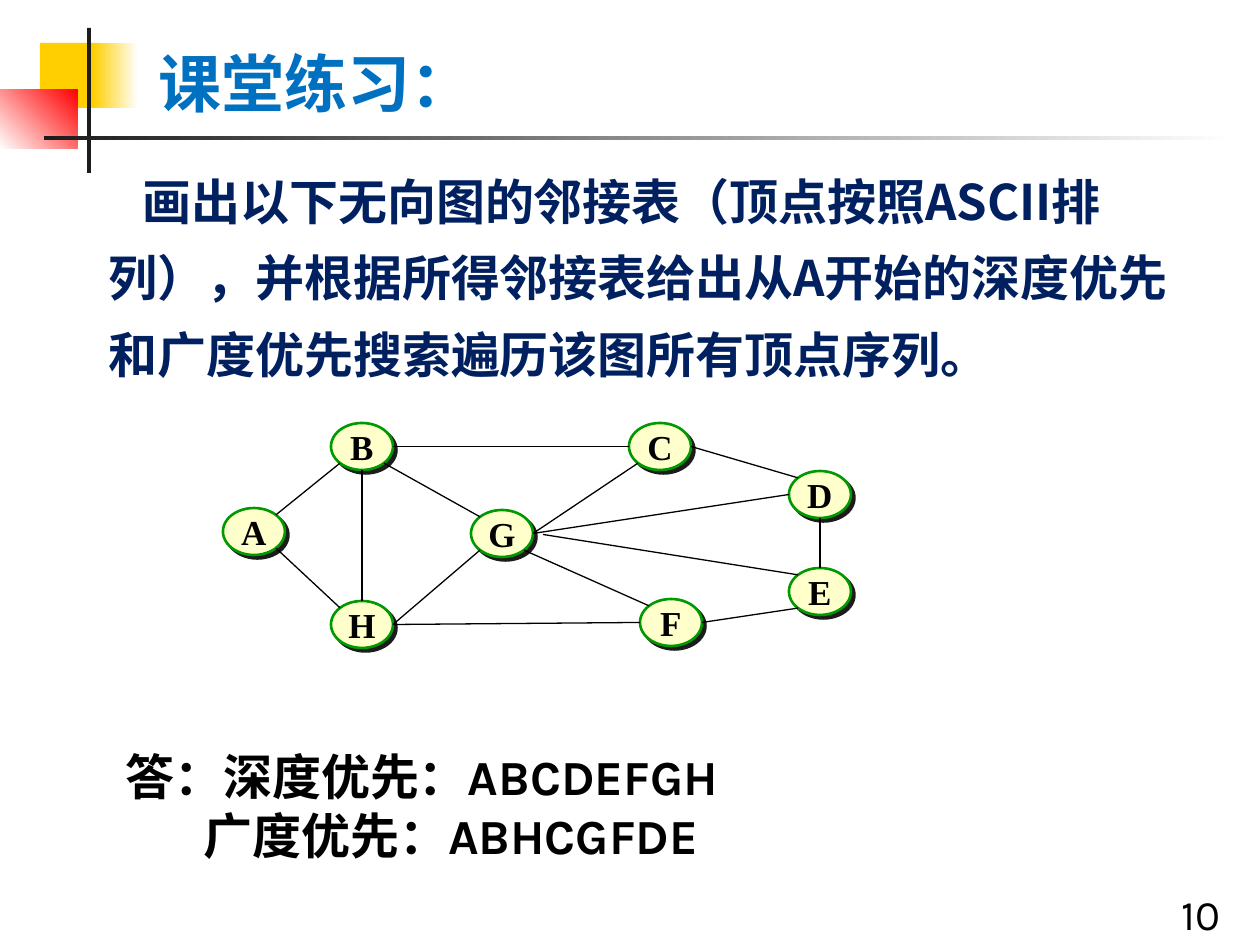
import math
from dataclasses import dataclass

import pptx
import pptx.dml.color
import pptx.enum.shapes
import pptx.enum.text
import pptx.oxml.ns
import pptx.util
from lxml import etree

EMU_PER_PX = 914400 / 126
ANCHOR = pptx.enum.text.MSO_ANCHOR
ALIGN = pptx.enum.text.PP_ALIGN
SHAPE = pptx.enum.shapes.MSO_SHAPE


@dataclass(frozen=True)
class Theme:
    black: str = "000000"
    white: str = "FFFFFF"
    ink: str = "1C1C1C"
    yellow: str = "FFCF01"
    red: str = "FF0000"
    title: str = "0070C0"
    question: str = "002060"
    vertex_fill: str = "FFFFCC"
    vertex_line: str = "009900"
    chinese: str = "Noto Sans CJK SC"
    latin: str = "Karla"
    serif: str = "Times New Roman"
    title_size: int = 36
    text_size: int = 28
    number_size: int = 24
    vertex_size: int = 20


THEME = Theme()

# Vertex ovals: left and top in px
VERTEX_WIDTH, VERTEX_HEIGHT = 62, 47
VERTICES = {
    "A": (223, 508), "B": (331, 423), "C": (629, 423), "D": (789, 471),
    "E": (789, 568), "F": (640, 599), "G": (471, 510), "H": (331, 601),
}

# Points on an oval, as clockwise degrees from its right end
SITES = {"right": 0, "lower right": 45, "bottom": 90, "lower left": 135,
         "left": 180, "upper left": 225, "top": 270, "upper right": 315}
EDGES = [
    ("B", "right", "C", "left"),
    ("A", "upper right", "B", "lower left"),
    ("A", "lower right", "H", "upper left"),
    ("B", "bottom", "H", "top"),
    ("B", "lower right", "G", "upper left"),
    ("H", "right", "G", "lower left"),
    ("H", "right", "F", "left"),
    ("G", "right", "C", "lower left"),
    ("G", "lower right", "F", "upper left"),
    ("G", "right", "D", "left"),
    ("G", "right", "E", "upper left"),
    ("D", "bottom", "E", "top"),
    ("F", "right", "E", "lower left"),
    ("C", "right", "D", "upper left"),
]
EDGE_GAPS = {("G", "E"): (10, 1)}  # this edge starts a little off its vertex


def px(length):
    return pptx.util.Emu(round(length * EMU_PER_PX))


def rgb(color):
    return pptx.dml.color.RGBColor.from_string(color)


def apply(target, formats):
    for name, value in formats.items():
        setattr(target, name, value)


def add_element(parent, tag, **attributes):
    return etree.SubElement(parent, pptx.oxml.ns.qn(tag), attributes)


def place(shape, left, top, width, height):
    apply(shape, {"left": px(left), "top": px(top),
                  "width": px(width), "height": px(height)})


def write(shape, lines, size, color, font, bold=True, frame=None, paragraph=None, indents=()):
    """Fill a shape with lines of text; indents are (left margin, first line) in px."""
    text_frame = shape.text_frame
    apply(text_frame, {"auto_size": pptx.enum.text.MSO_AUTO_SIZE.NONE,
                       "word_wrap": True, **(frame or {})})
    for index, line in enumerate(lines):
        item = text_frame.paragraphs[0] if index == 0 else text_frame.add_paragraph()
        margin, first_line = indents[index] if indents else (0, 0)
        properties = item._p.get_or_add_pPr()
        properties.set("marL", str(px(margin)))
        properties.set("indent", str(px(first_line)))
        add_element(properties, "a:buNone")
        apply(item, {"alignment": ALIGN.LEFT, "space_before": pptx.util.Pt(0),
                     **(paragraph or {})})
        run = item.add_run()
        run.text = line
        apply(run.font, {"size": pptx.util.Pt(size), "bold": bold, "name": font})
        run.font.color.rgb = rgb(color)
        add_element(run._r.get_or_add_rPr(), "a:ea", typeface=THEME.chinese)


def add_block(slide, box, colors, angle=0):
    """A plain rectangle, or a gradient one when two colours are given."""
    block = slide.shapes.add_shape(SHAPE.RECTANGLE, *map(px, box))
    block.shadow.inherit = False
    block.line.fill.background()
    if len(colors) == 1:
        block.fill.solid()
        block.fill.fore_color.rgb = rgb(colors[0])
    else:
        block.fill.gradient()
        block.fill.gradient_angle = angle
        for stop, color, position in zip(block.fill.gradient_stops, colors, (0, 1)):
            stop.color.rgb = rgb(color)
            stop.position = position


def add_vertex(slide, name, left, top):
    vertex = slide.shapes.add_shape(
        SHAPE.OVAL, px(left), px(top), px(VERTEX_WIDTH), px(VERTEX_HEIGHT))
    vertex.fill.solid()
    vertex.fill.fore_color.rgb = rgb(THEME.vertex_fill)
    vertex.line.color.rgb = rgb(THEME.vertex_line)
    vertex.line.width = pptx.util.Pt(1.5)
    # Hard shadow towards the lower right
    vertex.shadow.inherit = False
    effects = vertex._element.spPr.find(pptx.oxml.ns.qn("a:effectLst"))
    shadow = add_element(effects, "a:outerShdw", dist=str(pptx.util.Pt(2.8)),
                         dir="2700000", algn="ctr", rotWithShape="0")
    add_element(shadow, "a:srgbClr", val=THEME.ink)
    write(vertex, [name], THEME.vertex_size, THEME.black, THEME.serif,
          frame={"word_wrap": False, "vertical_anchor": ANCHOR.MIDDLE},
          paragraph={"alignment": ALIGN.CENTER})


def site_point(name, site):
    left, top = VERTICES[name]
    angle = math.radians(SITES[site])
    return (left + VERTEX_WIDTH / 2 * (1 + math.cos(angle)),
            top + VERTEX_HEIGHT / 2 * (1 + math.sin(angle)))


def add_edge(slide, start, start_site, end, end_site):
    gap_x, gap_y = EDGE_GAPS.get((start, end), (0, 0))
    x, y = site_point(start, start_site)
    points = (x + gap_x, y + gap_y, *site_point(end, end_site))
    edge = slide.shapes.add_connector(
        pptx.enum.shapes.MSO_CONNECTOR.STRAIGHT, *map(px, points))
    edge.line.color.rgb = rgb(THEME.black)
    edge.line.width = pptx.util.Pt(0.75)
    add_element(edge._element.spPr, "a:effectLst")


def add_text(slide, box, *arguments, **formats):
    write(slide.shapes.add_textbox(*map(px, box)), *arguments, **formats)


def main():
    presentation = pptx.Presentation()
    apply(presentation, {"slide_width": px(1260), "slide_height": px(945)})
    slide = presentation.slides.add_slide(presentation.slide_layouts[1])

    # Corner ornament and rule
    add_block(slide, (40, 43, 60, 65), [THEME.yellow])
    add_block(slide, (93, 43, 45, 65), [THEME.yellow, THEME.white])
    add_block(slide, (0, 90, 78, 59), [THEME.white, THEME.red], angle=45)
    add_block(slide, (87, 28, 4, 145), [THEME.ink])
    add_block(slide, (44, 136, 1191, 4), [THEME.ink, THEME.white])

    # Title and question
    title, question = slide.placeholders
    place(title, 146, 38, 345, 89)
    write(title, ["课堂练习："], THEME.title_size, THEME.title, THEME.chinese,
          frame={"vertical_anchor": ANCHOR.MIDDLE})
    place(question, 96, 152, 1106, 233)
    write(question,
          ["画出以下无向图的邻接表（顶点按照ASCII排列），并根据所得邻接表给出从A开始的"
           "深度优先和广度优先搜索遍历该图所有顶点序列。"],
          THEME.text_size, THEME.question, THEME.chinese,
          frame={"vertical_anchor": ANCHOR.MIDDLE},
          paragraph={"line_spacing": 1.3}, indents=[(0, 34)])

    # Undirected graph
    for name, (left, top) in VERTICES.items():
        add_vertex(slide, name, left, top)
    for edge in EDGES:
        add_edge(slide, *edge)

    # Answer and page number
    add_text(slide, (113, 740, 649, 131), ["答：深度优先：ABCDEFGH", "广度优先：ABHCGFDE"],
             THEME.text_size, THEME.black, THEME.latin,
             frame={"word_wrap": False}, indents=[(0, 0), (78, 0)])
    add_text(slide, (1169, 882, 91, 63), ["10"],
             THEME.number_size, THEME.black, THEME.latin, bold=False)

    presentation.save("out.pptx")


if __name__ == "__main__":
    main()
